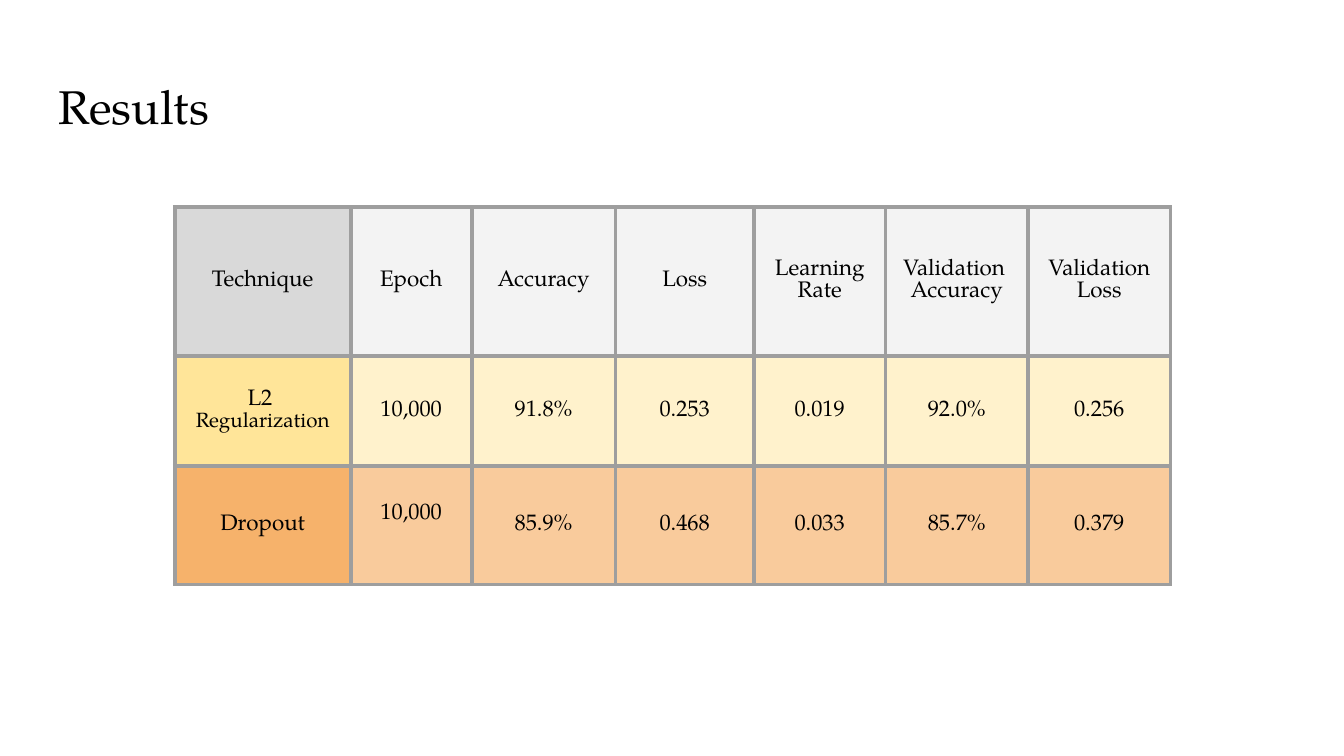
from lxml import etree
from pptx import Presentation
from pptx.dml.color import RGBColor
from pptx.enum.text import MSO_ANCHOR as Anchor, PP_ALIGN as Align
from pptx.oxml.ns import qn
from pptx.util import Inches, Pt

FONT = "TeX Gyre Pagella"
COLUMNS = [1.31, 0.9, 1.07, 1.03, 0.98, 1.06, 1.06]
ROWS = [
    (1.11, "D9D9D9", "F3F3F3",
     ["Technique", "Epoch", "Accuracy", "Loss", "Learning\vRate",
      "Validation \vAccuracy", "Validation Loss"]),
    (0.82, "FFE599", "FFF2CC",
     ["L2 \vRegularization", "10,000", "91.8%", "0.253", "0.019", "92.0%", "0.256"]),
    (0.88, "F6B26B", "F9CB9C",
     ["Dropout", "10,000", "85.9%", "0.468", "0.033", "85.7%", "0.379"]),
]


def color(value):
    return RGBColor.from_string(value)


def format_span(span, size):
    span.font.name = FONT
    span.font.size = Pt(size)
    span.font.color.rgb = color("000000")


def set_margins(target, margin):
    target.margin_left = target.margin_right = Inches(margin)
    target.margin_top = target.margin_bottom = Inches(margin)


def add_borders(cell, value, width):
    properties = cell._tc.get_or_add_tcPr()
    for index, side in enumerate(("lnL", "lnR", "lnT", "lnB")):
        line = etree.Element(qn(f"a:{side}"), w=str(Pt(width)))
        fill = etree.SubElement(line, qn("a:solidFill"))
        etree.SubElement(fill, qn("a:srgbClr"), val=value)
        properties.insert(index, line)


def add_title(page, left, top, width, height):
    box = page.shapes.add_textbox(Inches(left), Inches(top), Inches(width), Inches(height))
    frame = box.text_frame
    frame.word_wrap = True
    frame.vertical_anchor = Anchor.TOP
    set_margins(frame, 0.1)
    frame.text = "Results"
    format_span(frame.paragraphs[0].runs[0], 25.2)


def fill_cell(cell, text, fill):
    cell.fill.solid()
    cell.fill.fore_color.rgb = color(fill)
    cell.vertical_anchor = Anchor.MIDDLE
    set_margins(cell, 0.1)
    para = cell.text_frame.paragraphs[0]
    para.text = text
    para.alignment = Align.CENTER
    for span in para.runs:
        format_span(span, 11 if span.text == "Regularization" else 12)
    add_borders(cell, "9E9E9E", 2.25)


def add_results(page, left, top):
    width = sum(COLUMNS)
    height = sum(row[0] for row in ROWS)
    frame = page.shapes.add_table(len(ROWS), len(COLUMNS), Inches(left), Inches(top),
                                  Inches(width), Inches(height))
    table = frame.table
    table.first_row = table.horz_banding = False
    for column, column_width in zip(table.columns, COLUMNS):
        column.width = Inches(column_width)
    for r, (row_height, label_fill, value_fill, texts) in enumerate(ROWS):
        table.rows[r].height = Inches(row_height)
        for c, text in enumerate(texts):
            fill_cell(table.cell(r, c), text, value_fill if c else label_fill)
    table.cell(2, 1).margin_bottom = Inches(0.26)


def main():
    deck = Presentation()
    deck.slide_width = Inches(10)
    deck.slide_height = deck.slide_width * 9 // 16
    page = deck.slides.add_slide(deck.slide_layouts[6])
    add_title(page, 0.34, 0.48, 9.32, 0.63)
    add_results(page, 1.3, 1.54)
    deck.save("out.pptx")


if __name__ == "__main__":
    main()
